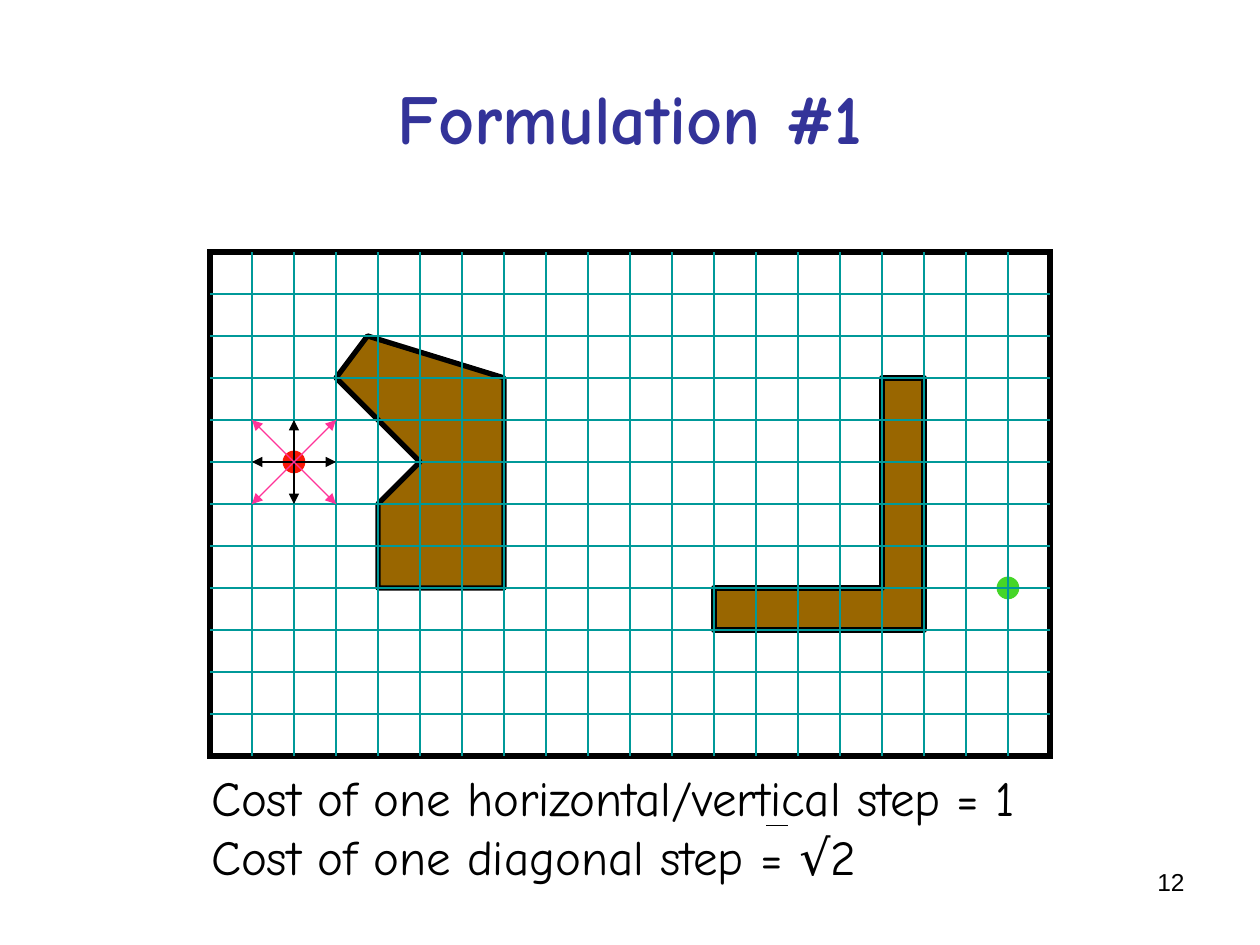
from lxml import etree
from pptx import Presentation
from pptx.dml.color import RGBColor
from pptx.enum.shapes import MSO_CONNECTOR, MSO_SHAPE
from pptx.enum.text import MSO_ANCHOR, PP_ALIGN
from pptx.oxml.ns import qn
from pptx.util import Inches, Pt

STRAIGHT = MSO_CONNECTOR.STRAIGHT
RECTANGLE, OVAL = MSO_SHAPE.RECTANGLE, MSO_SHAPE.OVAL
LEFT, CENTER, RIGHT = PP_ALIGN.LEFT, PP_ALIGN.CENTER, PP_ALIGN.RIGHT
TOP, MIDDLE = MSO_ANCHOR.TOP, MSO_ANCHOR.MIDDLE

COLORS = {
    "title": "333399",
    "black": "000000",
    "obstacle": "996600",
    "grid": "009999",
    "start": "F81706",
    "goal": "45D628",
    "diagonal": "FF3399",
}
HEADING_FONT, NUMBER_FONT = "Comic Neue", "Arial"

# The map is a grid of square cells; positions on it are (column, row)
CELL = 1 / 3
MAP_LEFT, MAP_TOP = 5 / 3, 2
COLUMNS, ROWS = 20, 12
DOT_SIZE = 0.17
START, GOAL = (2, 5), (19, 8)
OBSTACLES = [
    [(3, 3), (5, 5), (4, 6), (4, 8), (7, 8), (7, 3), (3.75, 2)],
    [(12, 8), (12, 9), (17, 9), (17, 3), (16, 3), (16, 8)],
]


def on_map(point):
    column, row = point
    return Inches(MAP_LEFT + column * CELL), Inches(MAP_TOP + row * CELL)


class SlideBuilder:
    def __init__(self, slide):
        self.slide = slide

    def color(self, name):
        return RGBColor.from_string(COLORS[name])

    def style(self, shape, fill, line, width):
        shape.shadow.inherit = False
        if fill:
            shape.fill.solid()
            shape.fill.fore_color.rgb = self.color(fill)
        else:
            shape.fill.background()
        shape.line.color.rgb = self.color(line)
        shape.line.width = Pt(width)

    def text(self, box, lines, size, font, color="black", align=LEFT, anchor=TOP, bold=False):
        frame = self.slide.shapes.add_textbox(*map(Inches, box)).text_frame
        frame.word_wrap = True
        frame.vertical_anchor = anchor
        frame.text = "\n".join(lines)
        for paragraph in frame.paragraphs:
            paragraph.alignment = align
            paragraph.font.size = Pt(size)
            paragraph.font.name = font
            paragraph.font.bold = bold
            paragraph.font.color.rgb = self.color(color)

    def frame(self):
        shape = self.slide.shapes.add_shape(
            RECTANGLE, *on_map((0, 0)), Inches(COLUMNS * CELL), Inches(ROWS * CELL))
        self.style(shape, None, "black", 3)
        etree.SubElement(shape.line._get_or_add_ln(), qn("a:miter"), lim="800000")

    def polygon(self, points):
        first, *others = map(on_map, points)
        builder = self.slide.shapes.build_freeform(*first)
        builder.add_line_segments(others, close=True)
        self.style(builder.convert_to_shape(), "obstacle", "black", 3)

    def dot(self, point, color):
        x, y = on_map(point)
        size = Inches(DOT_SIZE)
        shape = self.slide.shapes.add_shape(OVAL, x - size // 2, y - size // 2, size, size)
        self.style(shape, color, color, 0.75)

    def line(self, begin, end, color, arrow=False):
        connector = self.slide.shapes.add_connector(STRAIGHT, *begin, *end)
        connector.line.color.rgb = self.color(color)
        connector.line.width = Pt(0.75)
        if arrow:
            etree.SubElement(connector.line._get_or_add_ln(), qn("a:tailEnd"), type="triangle")
        etree.SubElement(connector._element.spPr, qn("a:effectLst"))


def main():
    presentation = Presentation()
    presentation.slide_width, presentation.slide_height = Inches(10), Inches(7.5)
    builder = SlideBuilder(presentation.slides.add_slide(presentation.slide_layouts[6]))

    # Page number and title
    builder.text((7.17, 6.83, 2.33, 0.52), ["12"], 14, NUMBER_FONT, align=RIGHT)
    builder.text((0.5, 0.3, 9, 1.25), ["Formulation #1"], 40, HEADING_FONT,
                 "title", CENTER, MIDDLE, True)

    # Map with obstacles, start and goal
    builder.frame()
    for obstacle in OBSTACLES:
        builder.polygon(obstacle)
    builder.dot(START, "start")
    builder.dot(GOAL, "goal")

    # Grid lines
    for row in range(1, ROWS):
        builder.line(on_map((0, row)), on_map((COLUMNS, row)), "grid")
    for column in range(1, COLUMNS):
        builder.line(on_map((column, 0)), on_map((column, ROWS)), "grid")

    # Moves from the start: straight ones first, then diagonal ones
    straight = [(0, -1), (0, 1), (-1, 0), (1, 0)]
    diagonal = [(1, -1), (-1, 1), (-1, -1), (1, 1)]
    for moves, color in ((straight, "black"), (diagonal, "diagonal")):
        for across, down in moves:
            target = (START[0] + across, START[1] + down)
            builder.line(on_map(START), on_map(target), color, arrow=True)

    # Step costs, with the short bar beside the root sign
    builder.text((1.58, 6.04, 7.33, 1.03),
                 ["Cost of one horizontal/vertical step = 1",
                  "Cost of one diagonal step = √2"], 28, HEADING_FONT)
    builder.line((Inches(6.08), Inches(6.55)), (Inches(6.25), Inches(6.55)), "black")

    presentation.save("out.pptx")


if __name__ == "__main__":
    main()
